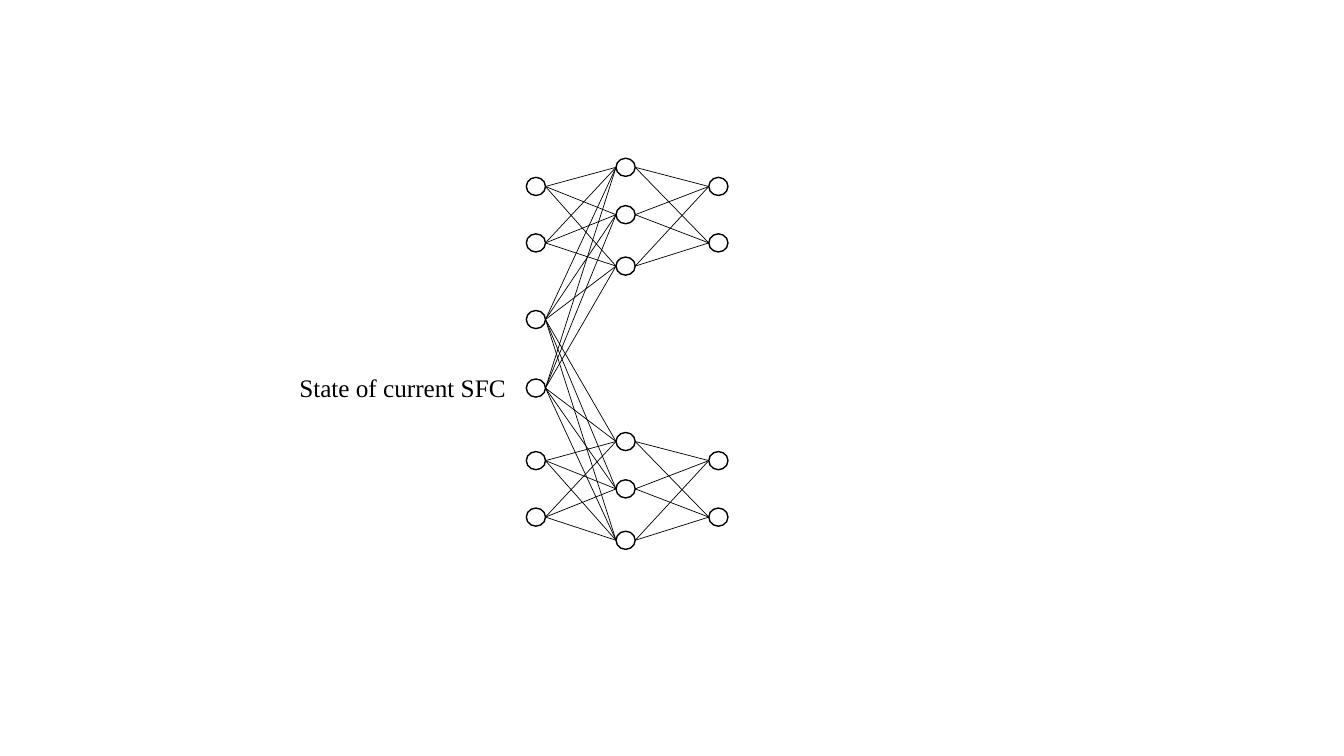
from itertools import product

from lxml import etree
from pptx import Presentation
from pptx import util as u
from pptx.dml.color import RGBColor
from pptx.enum import shapes, text
from pptx.oxml import ns

BLACK = RGBColor(0x00, 0x00, 0x00)

presentation = Presentation()
presentation.slide_width = u.Inches(13.33)
presentation.slide_height = u.Inches(7.5)
slide = presentation.slides.add_slide(presentation.slide_layouts[6])

# Layer columns (left edges) and node rows (centres), in inches
INPUT_X, HIDDEN_X, OUTPUT_X = 5.22, 6.11, 7.03
NODE_WIDTH, NODE_HEIGHT = 0.19, 0.18
OUTER_ROWS = [1.85, 2.41]
HIDDEN_ROWS = [1.66, 2.13, 2.64]
SHARED_ROWS = [3.17, 3.85]
NETWORK_OFFSETS = [0, 2.72]


def add_nodes(left, rows):
    for centre in rows:
        node = slide.shapes.add_shape(
            shapes.MSO_SHAPE.OVAL, u.Inches(left), u.Inches(centre - NODE_HEIGHT / 2),
            u.Inches(NODE_WIDTH), u.Inches(NODE_HEIGHT))
        node.shadow.inherit = False
        node.fill.background()
        node.line.color.rgb = BLACK
        node.line.width = u.Pt(1)


def connect_layers(left, left_rows, right, right_rows):
    for start, end in product(left_rows, right_rows):
        link = slide.shapes.add_connector(
            shapes.MSO_CONNECTOR.STRAIGHT, u.Inches(left + NODE_WIDTH), u.Inches(start),
            u.Inches(right), u.Inches(end))
        link.line.color.rgb = BLACK
        link.line.width = u.Pt(0.5)
        etree.SubElement(link._element.spPr, ns.qn("a:effectLst"))


# Input nodes shared by both networks
add_nodes(INPUT_X, SHARED_ROWS)

# Two identical networks, one above the other
for offset in NETWORK_OFFSETS:
    outer_rows = [row + offset for row in OUTER_ROWS]
    hidden_rows = [row + offset for row in HIDDEN_ROWS]
    add_nodes(INPUT_X, outer_rows)
    add_nodes(HIDDEN_X, hidden_rows)
    add_nodes(OUTPUT_X, outer_rows)
    connect_layers(INPUT_X, outer_rows + SHARED_ROWS, HIDDEN_X, hidden_rows)
    connect_layers(HIDDEN_X, hidden_rows, OUTPUT_X, outer_rows)

# Label beside the lower shared node
label = slide.shapes.add_textbox(u.Inches(2.87), u.Inches(3.64), u.Inches(2.29), u.Inches(0.4))
label.text_frame.auto_size = text.MSO_AUTO_SIZE.SHAPE_TO_FIT_TEXT
label.text_frame.word_wrap = True
paragraph = label.text_frame.paragraphs[0]
paragraph.text = "State of current SFC"
paragraph.font.name = "Times New Roman"
paragraph.font.size = u.Pt(18)
paragraph.font.color.rgb = BLACK

presentation.save("out.pptx")
